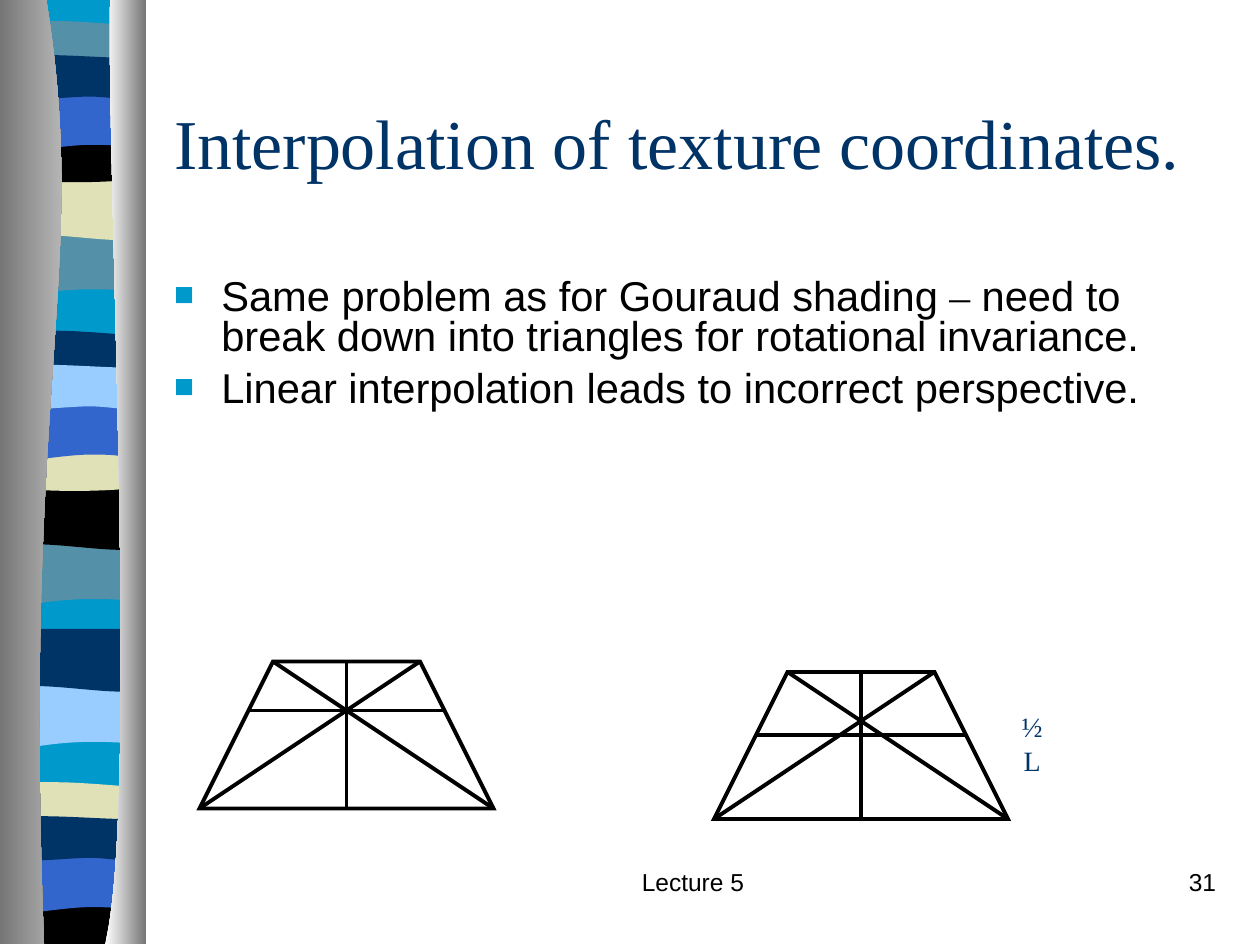
from dataclasses import dataclass
from itertools import chain

from lxml.etree import SubElement
from pptx import Presentation
from pptx.dml.color import RGBColor
from pptx.enum.shapes import MSO_CONNECTOR as Connector
from pptx.enum.text import MSO_ANCHOR as Anchor, MSO_AUTO_SIZE as AutoSize, PP_ALIGN as Align
from pptx.oxml.ns import qn
from pptx.util import Inches, Pt

# The slide is a grid of 120 columns by 90 rows, twelve cells to the inch.
COLUMNS, ROWS = 120, 90
CELL = Inches(1) // 12
NAVY, BLACK, WHITE, CYAN = "003366", "000000", "FFFFFF", "0099CC"
STEEL, SAND, BLUE, SKY, GREY = "5490A8", "E1E1B7", "3366CC", "99CCFF", "767676"
SERIF, SANS = "Times New Roman", "Arial"
BAND_LEFT, BAND_WIDTH = 0.6, 13
TOP, BOTTOM = -0.1, 89.9
Point = tuple[float, float]
Edge = list[Point]


@dataclass
class Band:
    top: float
    color: str
    profile: str


@dataclass
class Trapezoid:
    left: float
    top: float
    bar_row: float


@dataclass
class Label:
    text: str
    box: tuple[float, float, float, float]
    size: float
    font: str
    color: str
    align: Align = Align.LEFT
    anchor: Anchor = Anchor.TOP
    wrap: bool = True


# Upper edge left to right, lower edge right to left.
# Two points make a straight edge, more points a chain of Bezier curves.
FLAT = [(0, 0), (13, 0)]
BOWL_TOP = [(0, 0), (7.9, 0.6), (10.2, 0), (13, 0)]
PROFILES: dict[str, tuple[Edge, Edge]] = {
    "swell": (FLAT, [(13, 5.6), (4, 4.7), (2.2, 6.6), (0, 5.6)]),
    "roll": (FLAT, [(13, 5.7), (10.8, 6.6), (4, 4.9), (0, 5.6)]),
    "thin": ([(0, 0.6), (0.7, 0), (2.8, 0.1), (4.9, 0.1),
              (7.1, 0.1), (11.3, 0.5), (13, 0.6)],
             [(13, 3.5), (10.8, 4), (2.2, 4), (0, 3.5)]),
    "bowl": (BOWL_TOP, [(13, 3.9), (10.8, 4.5), (2.2, 4.5), (0, 3.9)]),
    "base": (BOWL_TOP, [(13, 4.5), (0, 4.5)]),
    "arch": (FLAT, [(13, 5.6), (10.9, 4.9), (10.1, 4.9), (7.9, 4.9),
                    (5.8, 4.9), (1.9, 5.6), (0, 5.6)]),
    "drape": ([(0, 0.6), (1.8, 0), (8.8, 0.6), (10.9, 0.6),
               (13.1, 0.6), (12.5, 0.6), (13, 0.6)],
              [(13, 4.3), (12.1, 4.9), (10.1, 4.3), (7.9, 4.3),
               (5.8, 4.3), (1.3, 4.9), (0, 4.3)]),
}

BANDS = [
    Band(22.2, STEEL, "swell"), Band(16.9, SAND, "roll"), Band(1.9, STEEL, "thin"),
    Band(13, BLACK, "bowl"), Band(8.9, BLUE, "arch"), Band(4.9, NAVY, "drape"),
    Band(51.7, STEEL, "swell"), Band(46.4, BLACK, "roll"), Band(31.4, NAVY, "thin"),
    Band(42.4, SAND, "bowl"), Band(38.4, BLUE, "arch"), Band(34.4, SKY, "drape"),
    Band(65.3, SKY, "swell"), Band(59.9, NAVY, "roll"), Band(74.4, SAND, "thin"),
    Band(85.4, BLACK, "base"), Band(81.5, BLUE, "arch"), Band(77.4, NAVY, "drape"),
]
TRAPEZOIDS = [Trapezoid(19, 63, 14 / 3), Trapezoid(68, 64, 6)]
HALF_MARKS = [((91, 63), (94, 70)), ((94.2, 70.5), (97.2, 77.5))]
LABELS = [
    Label("Lecture 5", (47, 82, 38, 6), 14, SANS, BLACK, Align.CENTER),
    Label("31", (92, 82, 25, 6), 14, SANS, BLACK, Align.RIGHT),
    Label("Interpolation of texture coordinates.", (15.4, 6, 102, 15), 40, SERIF, NAVY,
          anchor=Anchor.MIDDLE),
    Label("½ L", (95, 67, 6.6, 4.4), 16, SERIF, NAVY, Align.CENTER, wrap=False),
]
BULLETS = [
    [("Same problem as for Gouraud shading ", SANS), ("–", SERIF),
     (" need to break down into triangles for rotational invariance.", SANS)],
    [("Linear interpolation leads to incorrect perspective.", SANS)],
]


def rgb(color: str) -> RGBColor:
    return RGBColor.from_string(color)


def cells(count: float) -> int:
    return round(count * CELL)


def bend(shape, edges: list[Edge]):
    """Turn the segments of every curved edge into cubic Bezier curves."""
    path = shape._element.find(".//" + qn("a:path"))
    segments = list(path)
    first = 0
    for edge in edges:
        if len(edge) > 2:
            for i in range(first + 1, first + len(edge), 3):
                curve = path.makeelement(qn("a:cubicBezTo"))
                segments[i].addprevious(curve)
                for segment in segments[i:i + 3]:
                    curve.append(segment[0])
                    path.remove(segment)
        first += len(edge)


def draw_outline(slide, edges: list[Edge], fill: str, fill_to: str = "", line: str = ""):
    corners = [(cells(x), cells(y)) for x, y in chain(*edges)]
    builder = slide.shapes.build_freeform(*corners[0], scale=1.0)
    builder.add_line_segments(corners[1:], close=True)
    shape = builder.convert_to_shape()
    bend(shape, edges)
    shape.shadow.inherit = False
    if fill_to:
        shape.fill.gradient()
        shape.fill.gradient_angle = 0
        for stop, color in zip(shape.fill.gradient_stops, (fill, fill_to)):
            stop.color.rgb = rgb(color)
    else:
        shape.fill.solid()
        shape.fill.fore_color.rgb = rgb(fill)
    if line:
        shape.line.color.rgb = rgb(line)
        shape.line.width = Pt(2.25)
        SubElement(shape.line._get_or_add_ln(), qn("a:miter"), lim="800000")
    else:
        shape.line.fill.background()


def draw_band(slide, band: Band):
    edges = [[(BAND_LEFT + x, band.top + y) for x, y in edge]
             for edge in PROFILES[band.profile]]
    draw_outline(slide, edges, band.color)


def draw_line(slide, start: Point, end: Point, color: str = BLACK,
              width: float = 2.25, arrows: bool = False):
    line = slide.shapes.add_connector(Connector.STRAIGHT, *map(cells, start + end))
    line.line.color.rgb = rgb(color)
    line.line.width = Pt(width)
    if arrows:
        for tip in ("a:headEnd", "a:tailEnd"):
            SubElement(line.line._get_or_add_ln(), qn(tip), type="triangle")
    SubElement(line._element.spPr, qn("a:effectLst"))


def draw_trapezoid(slide, figure: Trapezoid):
    def at(x: float, y: float) -> Point:
        return figure.left + x, figure.top + y

    draw_outline(slide, [[at(0, 14), at(7, 0)], [at(21, 0), at(28, 14)]], WHITE, line=BLACK)
    draw_line(slide, at(14, 0), at(14, 14))
    draw_line(slide, at(0, 14), at(21, 0))
    draw_line(slide, at(28, 14), at(7, 0))
    # The bar runs between the slanted sides
    row = figure.bar_row
    draw_line(slide, at(7 - row / 2, row), at(21 + row / 2, row))


def draw_label(slide, label: Label):
    frame = slide.shapes.add_textbox(*map(cells, label.box)).text_frame
    frame.word_wrap = label.wrap
    if not label.wrap:
        frame.auto_size = AutoSize.SHAPE_TO_FIT_TEXT
    frame.vertical_anchor = label.anchor
    paragraph = frame.paragraphs[0]
    paragraph.text = label.text
    paragraph.alignment = label.align
    paragraph.font.size, paragraph.font.name = Pt(label.size), label.font
    paragraph.font.color.rgb = rgb(label.color)


def draw_bullets(slide):
    frame = slide.shapes.add_textbox(*map(cells, (15.4, 26, 102, 19.5))).text_frame
    frame.word_wrap = True
    for i, runs in enumerate(BULLETS):
        paragraph = frame.add_paragraph() if i else frame.paragraphs[0]
        props = paragraph._p.get_or_add_pPr()
        props.set("marL", str(cells(4.5)))
        props.set("indent", str(-cells(4.5)))
        SubElement(SubElement(props, qn("a:buClr")), qn("a:srgbClr"), val=CYAN)
        SubElement(props, qn("a:buSzPct"), val="80000")
        SubElement(props, qn("a:buFont"), typeface=SANS)
        SubElement(props, qn("a:buChar"), char="■")
        paragraph.line_spacing = 0.8
        if i:
            paragraph.space_before = Pt(7)
        paragraph.font.size = Pt(23.8)
        paragraph.font.color.rgb = rgb(BLACK)
        for text, font in runs:
            run = paragraph.add_run()
            run.text, run.font.name = text, font


def main():
    prs = Presentation()
    prs.slide_width, prs.slide_height = cells(COLUMNS), cells(ROWS)
    slide = prs.slides.add_slide(prs.slide_layouts[6])

    # Striped ribbon between two metallic columns
    right = BAND_LEFT + BAND_WIDTH
    draw_outline(slide, [[(BAND_LEFT, TOP), (right, TOP)],
                         [(right, 89.6), (BAND_LEFT, 89.6)]], CYAN)
    for band in BANDS:
        draw_band(slide, band)
    draw_outline(slide, [[(4.4, TOP), (8.6, 25.9), (2.1, 35.5), (4.2, BOTTOM)],
                         [(0, BOTTOM), (0, TOP)]], GREY, "D4D4D4")
    draw_outline(slide, [[(10.5, TOP), (10.1, 15), (13.3, 77.5), (10, BOTTOM)],
                         [(13.9, BOTTOM), (13.9, TOP)]], WHITE, GREY)

    # Text and figures
    for figure in TRAPEZOIDS:
        draw_trapezoid(slide, figure)
    for start, end in HALF_MARKS:
        draw_line(slide, start, end, WHITE, 0.75, arrows=True)
    for label in LABELS:
        draw_label(slide, label)
    draw_bullets(slide)
    prs.save("out.pptx")


if __name__ == "__main__":
    main()
